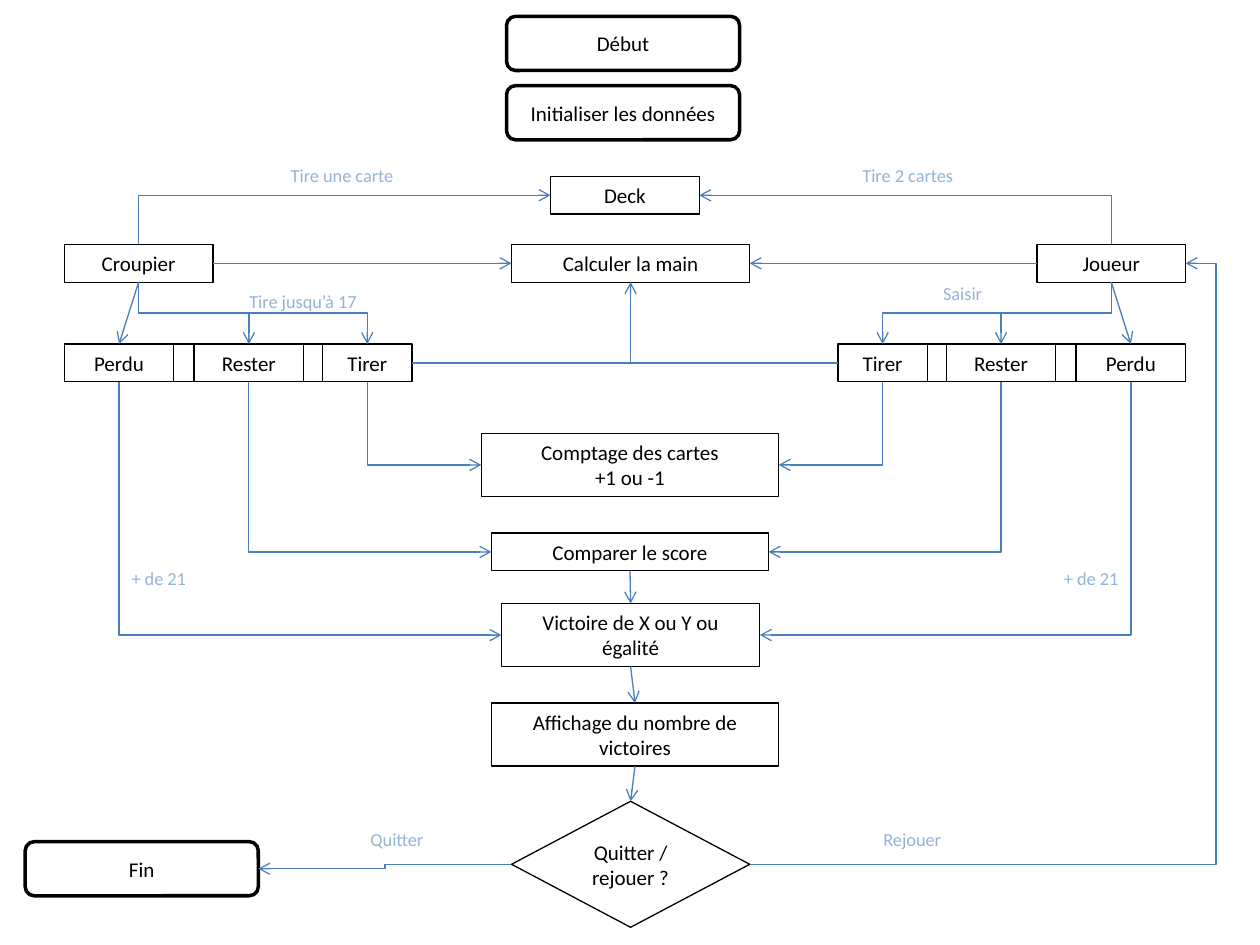
from lxml.etree import SubElement
from pptx import Presentation
from pptx.dml.color import RGBColor
from pptx.enum.shapes import MSO_CONNECTOR as Line, MSO_SHAPE as Shape
from pptx.enum.text import MSO_ANCHOR as Anchor, MSO_AUTO_SIZE as AutoSize, PP_ALIGN as Align
from pptx.oxml.ns import qn
from pptx.util import Inches, Pt

BLACK = RGBColor(0x00, 0x00, 0x00)
WHITE = RGBColor(0xFF, 0xFF, 0xFF)
BLUE = RGBColor(0x4B, 0x7E, 0xBC)
PALE_BLUE = RGBColor(0x95, 0xB3, 0xD7)

TOP, LEFT, BOTTOM, RIGHT = range(4)
ROW = 0.3        # height of a one-line box
TWO_ROWS = 0.5   # height of a two-line box
MIRROR = 9.92    # sum of the x positions of two mirrored points


def write_text(frame, text, size=12, color=BLACK, anchor=Anchor.MIDDLE, grow=True):
    frame.word_wrap = True
    frame.auto_size = AutoSize.SHAPE_TO_FIT_TEXT if grow else AutoSize.NONE
    frame.vertical_anchor = anchor
    for number, line in enumerate(text.split("\n")):
        para = frame.add_paragraph() if number else frame.paragraphs[0]
        para.alignment = Align.CENTER
        span = para.add_run()
        span.text = line
        span.font.name = "Calibri"
        span.font.size = Pt(size)
        span.font.color.rgb = color


def side_point(box, side):
    middle_x, middle_y = box.left + box.width // 2, box.top + box.height // 2
    return {TOP: (middle_x, box.top), LEFT: (box.left, middle_y),
            BOTTOM: (middle_x, box.top + box.height),
            RIGHT: (box.left + box.width, middle_y)}[side]


class FlowChart:
    def __init__(self, page):
        self.page = page

    def box(self, text, left, top, width, height=ROW, kind=Shape.RECTANGLE):
        box = self.page.shapes.add_shape(
            kind, Inches(left), Inches(top), Inches(width), Inches(height))
        box.shadow.inherit = False
        box.fill.background()
        box.line.color.rgb = BLACK
        box.line.width = Pt(0.75)
        write_text(box.text_frame, text)
        return box

    def terminal(self, text, left, top):
        box = self.box(text, left, top, 1.85, 0.43, Shape.ROUNDED_RECTANGLE)
        box.fill.solid()
        box.fill.fore_color.rgb = WHITE
        box.line.width = Pt(2)
        box.text_frame.auto_size = AutoSize.NONE
        return box

    def label(self, text, left, top, width=1.18):
        box = self.page.shapes.add_textbox(
            Inches(left), Inches(top), Inches(width), Inches(0.29))
        write_text(box.text_frame, text, size=10.5, color=PALE_BLUE, anchor=Anchor.TOP)

    def connector(self, kind, begin, end, color, arrow):
        link = self.page.shapes.add_connector(kind, *begin, *end)
        link.line.color.rgb = color
        link.line.width = Pt(0.75)
        if arrow:
            SubElement(link.line._get_or_add_ln(), qn("a:tailEnd"), type="arrow")
        SubElement(link._element.spPr, qn("a:effectLst"))
        return link

    def straight(self, source, source_side, target, target_side, color=BLUE, arrow=True):
        link = self.connector(Line.STRAIGHT, side_point(source, source_side),
                              side_point(target, target_side), color, arrow)
        link.begin_connect(source, source_side)
        link.end_connect(target, target_side)

    def elbow(self, source, source_side, target, target_side, bend=None):
        """One corner, or two when bend gives the place of the middle segment."""
        begin, end = side_point(source, source_side), side_point(target, target_side)
        upright = source_side in (TOP, BOTTOM)
        if upright:
            # Lay the route flat around its centre, then turn it a quarter
            middle_x, middle_y = (begin[0] + end[0]) // 2, (begin[1] + end[1]) // 2
            half_x, half_y = (end[0] - begin[0]) // 2, (end[1] - begin[1]) // 2
            begin = middle_x - half_y, middle_y + half_x
            end = middle_x + half_y, middle_y - half_x
        link = self.connector(Line.ELBOW, begin, end, BLUE, True)
        properties = link._element.spPr
        if upright:
            properties.find(qn("a:xfrm")).set("rot", "5400000")
        geometry = properties.find(qn("a:prstGeom"))
        if bend is None:
            geometry.set("prst", "bentConnector2")
        else:
            SubElement(geometry.find(qn("a:avLst")), qn("a:gd"),
                       name="adj1", fmla=f"val {round(bend * 100000)}")


def main():
    deck = Presentation()
    deck.slide_width, deck.slide_height = Inches(10), Inches(7.5)
    chart = FlowChart(deck.slides.add_slide(deck.slide_layouts[6]))

    # Start and end
    chart.terminal("Début", 4.02, 0.13)
    chart.terminal("Initialiser les données", 4.02, 0.68)
    finish = chart.terminal("Fin", 0.2, 6.68)

    # Central column
    card_deck = chart.box("Deck", 4.37, 1.4, 1.18)
    hand = chart.box("Calculer la main", 4.06, 1.94, 1.89)
    count = chart.box("Comptage des cartes\n+1 ou -1", 3.82, 3.44, 2.36, TWO_ROWS)
    score = chart.box("Comparer le score", 3.9, 4.23, 2.2)
    victory = chart.box("Victoire de X ou Y ou égalité", 3.98, 4.79, 2.05, TWO_ROWS)
    total = chart.box("Affichage du nombre de victoires", 3.9, 5.58, 2.28, TWO_ROWS)
    choice = chart.box("Quitter / rejouer ?", 4.06, 6.36, 1.89, 1, Shape.DIAMOND)
    for source, target in ((score, victory), (victory, total), (total, choice)):
        chart.straight(source, BOTTOM, target, TOP)

    # The two players, mirrored, with their three outcomes
    players, draws = [], []
    for name, mirrored in (("Croupier", False), ("Joueur", True)):
        inner, outer = (LEFT, RIGHT) if mirrored else (RIGHT, LEFT)

        def player_box(text, left, top, width):
            return chart.box(text, MIRROR - left - width if mirrored else left, top, width)

        player = player_box(name, 0.51, 1.94, 1.18)
        lost = player_box("Perdu", 0.51, 2.73, 0.87)
        stay = player_box("Rester", 1.54, 2.73, 0.87)
        draw = player_box("Tirer", 2.56, 2.73, 0.71)
        players.append(player)
        draws.append(draw)

        for side in (TOP, BOTTOM):
            chart.straight(lost, side, draw, side, color=BLACK, arrow=False)
        chart.elbow(player, TOP, card_deck, outer)
        chart.straight(player, inner, hand, outer)
        chart.straight(player, BOTTOM, lost, TOP)
        for outcome in (stay, draw):
            chart.elbow(player, BOTTOM, outcome, TOP, bend=0.5)
        for outcome, target in ((draw, count), (stay, score), (lost, victory)):
            chart.elbow(outcome, BOTTOM, target, outer)

    # Links between the sides, and the final choice
    dealer_draw, player_draw = draws
    chart.straight(dealer_draw, RIGHT, player_draw, LEFT, arrow=False)
    chart.elbow(player_draw, LEFT, hand, BOTTOM)
    chart.elbow(choice, LEFT, finish, RIGHT, bend=0.5)
    chart.elbow(choice, RIGHT, players[1], RIGHT, bend=1.07)

    # Labels on the links
    chart.label("Tire une carte", 1.85, 1.25, 1.73)
    chart.label("Tire 2 cartes", 6.34, 1.25, 1.73)
    chart.label("Tire jusqu’à 17", 1.54, 2.25, 1.73)
    chart.label("Saisir", 7.05, 2.19)
    chart.label("+ de 21", 0.67, 4.45)
    chart.label("+ de 21", 8.07, 4.45)
    chart.label("Quitter", 2.56, 6.52)
    chart.label("Rejouer", 6.65, 6.52)

    deck.save("out.pptx")


if __name__ == "__main__":
    main()
